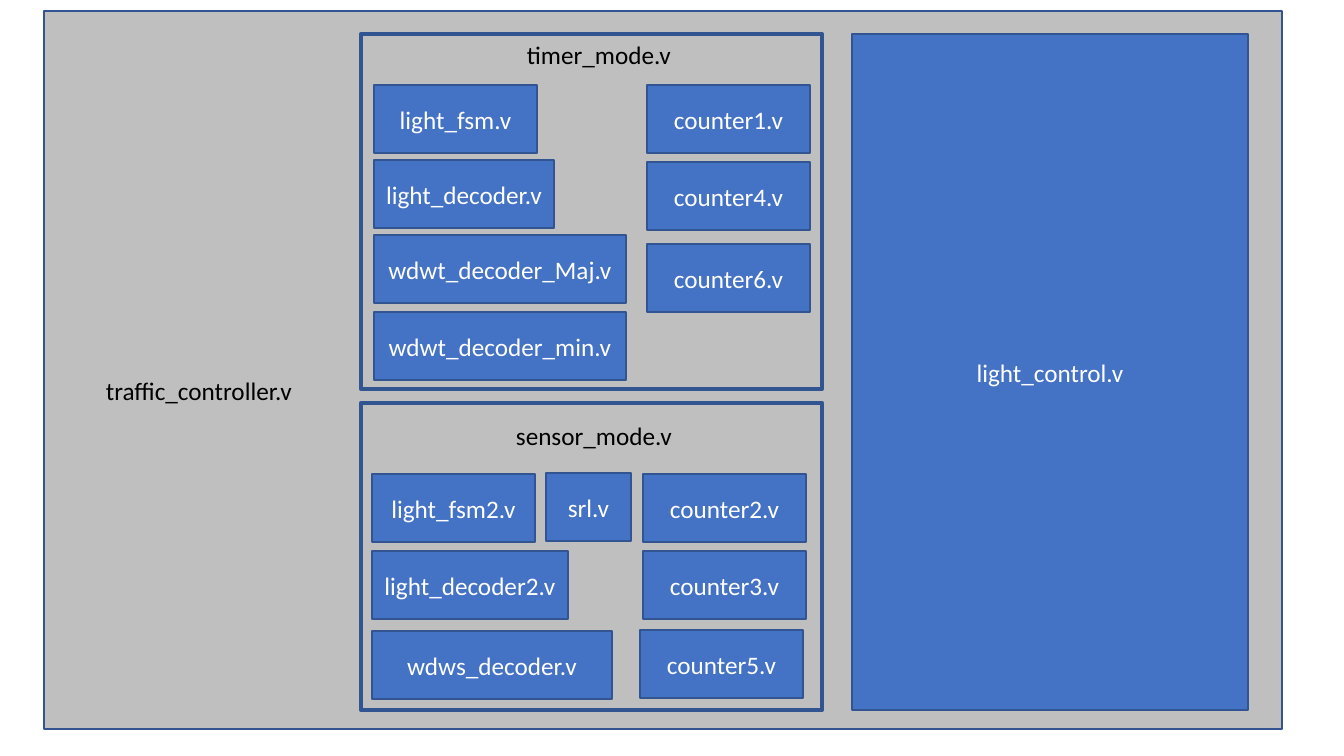
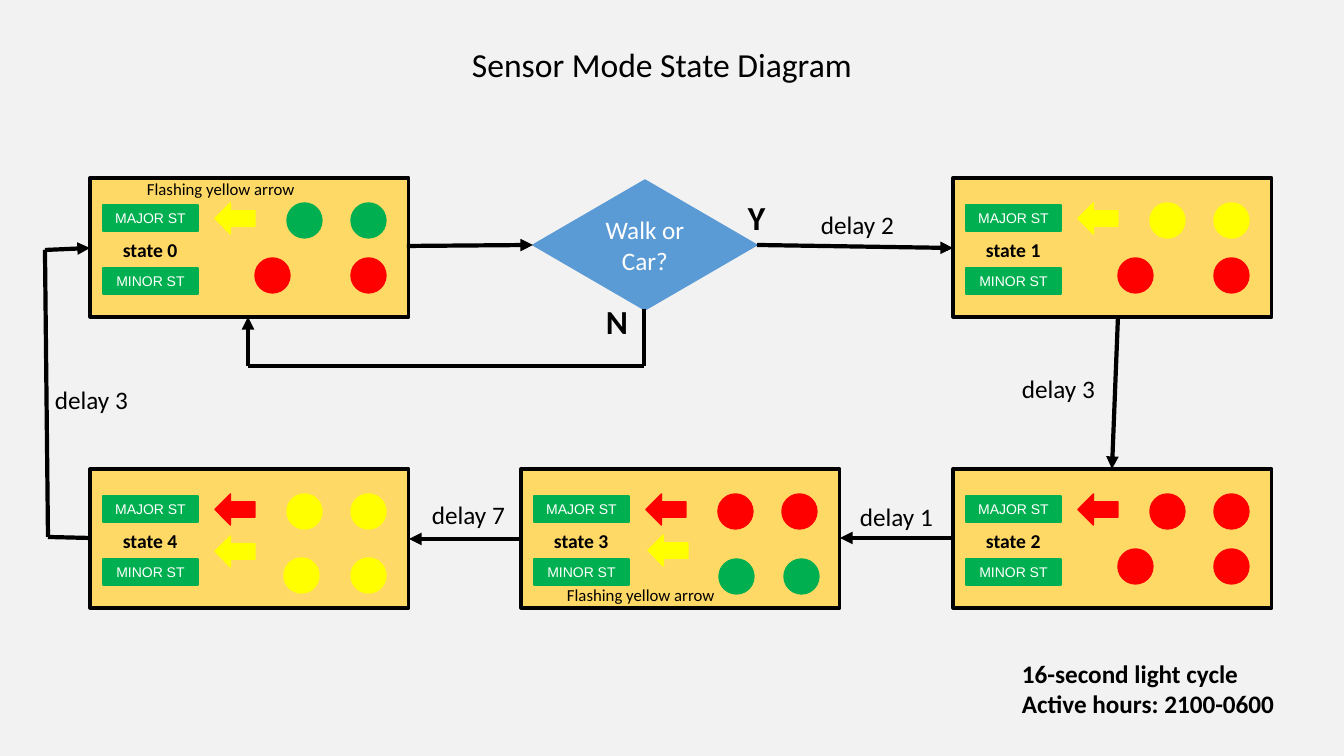
"""Build a Verilog module map and a sensor mode state diagram of a traffic controller."""

from dataclasses import dataclass
from itertools import pairwise
from typing import Optional

from lxml import etree
from pptx import Presentation
from pptx.dml.color import RGBColor
from pptx.enum.shapes import MSO_CONNECTOR, MSO_SHAPE
from pptx.enum.text import MSO_ANCHOR, MSO_AUTO_SIZE, PP_ALIGN
from pptx.oxml.ns import qn
from pptx.shapes.autoshape import Shape
from pptx.slide import Slide
from pptx.text.text import TextFrame
from pptx.util import Emu, Pt

RECTANGLE = MSO_SHAPE.RECTANGLE
OVAL = MSO_SHAPE.OVAL
LEFT_ARROW = MSO_SHAPE.LEFT_ARROW
DIAMOND = MSO_SHAPE.DIAMOND
STRAIGHT = MSO_CONNECTOR.STRAIGHT
CENTER = PP_ALIGN.CENTER
LEFT = PP_ALIGN.LEFT
MIDDLE = MSO_ANCHOR.MIDDLE
TOP = MSO_ANCHOR.TOP
GROW = MSO_AUTO_SIZE.SHAPE_TO_FIT_TEXT

EMU_PER_PIXEL = 914400 / 100.8


@dataclass(frozen=True)
class Theme:
    white: str = "FFFFFF"
    black: str = "000000"
    mist: str = "F2F2F2"
    gray: str = "BFBFBF"
    blue: str = "4472C4"
    navy: str = "325491"
    sky: str = "5B9BD5"
    gold: str = "FFD966"
    green: str = "00B050"
    yellow: str = "FFFF00"
    red: str = "FF0000"
    body_font: str = "Calibri"
    plate_font: str = "Arial"
    title_size: int = 24
    body_size: int = 18
    state_size: int = 14
    note_size: int = 12
    plate_size: int = 10
    thin: float = 1
    card_line: float = 2.25
    thick: float = 3


THEME = Theme()


@dataclass(frozen=True)
class Box:
    left: int
    top: int
    width: int
    height: int


@dataclass(frozen=True)
class TextStyle:
    size: int
    color: str = THEME.black
    font: str = THEME.body_font
    bold: bool = False


@dataclass(frozen=True)
class Label:
    text: str
    box: Box
    style: TextStyle


@dataclass(frozen=True)
class Module:
    name: str
    left: int
    top: int
    width: int = 163


@dataclass(frozen=True)
class Lamp:
    left: int
    top: int
    color: str


@dataclass(frozen=True)
class State:
    name: str
    left: int
    top: int
    lights: tuple[Lamp, ...]
    arrows: tuple[Lamp, ...]


@dataclass(frozen=True)
class Route:
    points: tuple[tuple[int, int], ...]


BODY = TextStyle(THEME.body_size)
BODY_BOLD = TextStyle(THEME.body_size, bold=True)
BODY_WHITE = TextStyle(THEME.body_size, THEME.white)
TITLE = TextStyle(THEME.title_size)
BRANCH = TextStyle(THEME.title_size, bold=True)
STATE_NAME = TextStyle(THEME.state_size, bold=True)
NOTE = TextStyle(THEME.note_size)
PLATE = TextStyle(THEME.plate_size, THEME.white, THEME.plate_font)

MODULE_HEIGHT = 68
LAMP_SIZE = 35
UPPER_ROW, LOWER_ROW = 178, 469
LEFT_CARD, MIDDLE_CARD, RIGHT_CARD = 90, 521, 953

PANELS = (Box(361, 34, 461, 355), Box(361, 403, 461, 307))

MODULES = (
    Module("light_fsm.v", 374, 85),
    Module("light_decoder.v", 374, 160, 180),
    Module("wdwt_decoder_Maj.v", 374, 235, 252),
    Module("wdwt_decoder_min.v", 374, 312, 252),
    Module("counter1.v", 647, 85),
    Module("counter4.v", 647, 162),
    Module("counter6.v", 647, 244),
    Module("light_fsm2.v", 372, 474),
    Module("light_decoder2.v", 372, 551, 196),
    Module("wdws_decoder.v", 372, 631, 240),
    Module("srl.v", 546, 473, 85),
    Module("counter2.v", 643, 474),
    Module("counter3.v", 643, 551),
    Module("counter5.v", 640, 630),
)

MODULE_LABELS = (
    Label("timer_mode.v", Box(517, 34, 166, 40), BODY),
    Label("sensor_mode.v", Box(506, 415, 178, 40), BODY),
    Label("traffic_controller.v", Box(96, 370, 209, 40), BODY),
)


def major_lights(color: str) -> tuple[Lamp, ...]:
    return tuple(Lamp(left, 25, color) for left in (197, 261))


def minor_lights(color: str, lefts: tuple[int, int] = (165, 261), top: int = 80) -> tuple[Lamp, ...]:
    return tuple(Lamp(left, top, color) for left in lefts)


STATES = (
    State("state 0", LEFT_CARD, UPPER_ROW,
          major_lights(THEME.green) + minor_lights(THEME.red),
          (Lamp(125, 25, THEME.yellow),)),
    State("state 1", RIGHT_CARD, UPPER_ROW,
          major_lights(THEME.yellow) + minor_lights(THEME.red),
          (Lamp(125, 25, THEME.yellow),)),
    State("state 2", RIGHT_CARD, LOWER_ROW,
          major_lights(THEME.red) + minor_lights(THEME.red),
          (Lamp(125, 25, THEME.red),)),
    State("state 3", MIDDLE_CARD, LOWER_ROW,
          major_lights(THEME.red) + minor_lights(THEME.green, (198, 263), 90),
          (Lamp(125, 25, THEME.red), Lamp(127, 66, THEME.yellow))),
    State("state 4", LEFT_CARD, LOWER_ROW,
          major_lights(THEME.yellow) + minor_lights(THEME.yellow, (194, 261), 89),
          (Lamp(125, 25, THEME.red), Lamp(125, 67, THEME.yellow))),
)

ROUTES = (
    Route(((407, 246), (533, 245))),
    Route(((757, 245), (953, 248))),
    Route(((1118, 317), (1112, 469))),
    Route(((951, 538), (840, 538))),
    Route(((521, 539), (409, 539))),
    Route(((90, 538), (48, 537), (45, 250), (90, 248))),
    Route(((644, 309), (644, 366), (248, 366), (248, 317))),
)

STATE_LABELS = (
    Label("Sensor Mode State Diagram", Box(462, 39, 403, 50), TITLE),
    Label("delay 2", Box(811, 204, 95, 40), BODY),
    Label("delay 3", Box(1012, 368, 95, 40), BODY),
    Label("delay 1", Box(850, 496, 95, 40), BODY),
    Label("delay 7", Box(422, 494, 95, 40), BODY),
    Label("delay 3", Box(45, 379, 95, 40), BODY),
    Label("Y", Box(738, 192, 38, 50), BRANCH),
    Label("N", Box(596, 296, 42, 50), BRANCH),
    Label("Flashing yellow arrow", Box(137, 174, 169, 30), NOTE),
    Label("Flashing yellow arrow", Box(557, 580, 169, 30), NOTE),
    Label("16-second light cycle\nActive hours: 2100-0600", Box(1012, 653, 275, 72), BODY_BOLD),
)


def px(value: int) -> Emu:
    return Emu(round(value * EMU_PER_PIXEL))


def place(box: Box) -> tuple[Emu, Emu, Emu, Emu]:
    return px(box.left), px(box.top), px(box.width), px(box.height)


def rgb(color: str) -> RGBColor:
    return RGBColor.from_string(color)


def write(frame: TextFrame, text: str, style: TextStyle, align: PP_ALIGN) -> None:
    frame.text = text
    for para in frame.paragraphs:
        para.alignment = align
        para.font.name = style.font
        para.font.size = Pt(style.size)
        para.font.bold = style.bold
        para.font.color.rgb = rgb(style.color)


def draw_shape(page: Slide, kind: MSO_SHAPE, box: Box, fill: Optional[str], line: str,
               weight: float = THEME.thin) -> Shape:
    shape = page.shapes.add_shape(kind, *place(box))
    shape.shadow.inherit = False
    if fill is None:
        shape.fill.background()
    else:
        shape.fill.solid()
        shape.fill.fore_color.rgb = rgb(fill)
    shape.line.color.rgb = rgb(line)
    shape.line.width = Pt(weight)
    return shape


def draw_caption(shape: Shape, text: str, style: TextStyle) -> None:
    shape.text_frame.vertical_anchor = MIDDLE
    write(shape.text_frame, text, style, CENTER)


def draw_label(page: Slide, label: Label) -> None:
    frame = page.shapes.add_textbox(*place(label.box)).text_frame
    frame.word_wrap = False
    frame.auto_size = GROW
    frame.vertical_anchor = TOP
    write(frame, label.text, label.style, LEFT)


def draw_module(page: Slide, name: str, box: Box) -> None:
    draw_caption(draw_shape(page, RECTANGLE, box, THEME.blue, THEME.navy), name, BODY_WHITE)


def draw_route(page: Slide, route: Route) -> None:
    for start, end in pairwise(route.points):
        connector = page.shapes.add_connector(STRAIGHT, *map(px, start + end))
        connector.line.color.rgb = rgb(THEME.black)
        connector.line.width = Pt(THEME.thick)
        properties = connector.line._get_or_add_ln().getparent()
        etree.SubElement(properties, qn("a:effectLst"))
        if end == route.points[-1]:
            etree.SubElement(properties.find(qn("a:ln")), qn("a:tailEnd"), type="triangle")


def draw_state(page: Slide, state: State) -> None:
    def inside(left: int, top: int, width: int, height: int) -> Box:
        return Box(state.left + left, state.top + top, width, height)

    draw_shape(page, RECTANGLE, inside(0, 0, 319, 139), THEME.gold, THEME.black, THEME.card_line)
    for street, top in (("MAJOR ST", 27), ("MINOR ST", 90)):
        plate = draw_shape(page, RECTANGLE, inside(13, top, 95, 26), THEME.green, THEME.green)
        draw_caption(plate, street, PLATE)
    for light in state.lights:
        draw_shape(page, OVAL, inside(light.left, light.top, LAMP_SIZE, LAMP_SIZE), light.color, light.color)
    for arrow in state.arrows:
        draw_shape(page, LEFT_ARROW, inside(arrow.left, arrow.top, 40, 31), arrow.color, arrow.color)
    draw_label(page, Label(state.name, inside(23, 55, 75, 34), STATE_NAME))


def add_page(deck: Presentation, background: str) -> Slide:
    page = deck.slides.add_slide(deck.slide_layouts[6])
    page.background.fill.solid()
    page.background.fill.fore_color.rgb = rgb(background)
    return page


def build_module_map(deck: Presentation) -> None:
    page = add_page(deck, THEME.white)
    draw_shape(page, RECTANGLE, Box(44, 11, 1238, 718), THEME.gray, THEME.navy)
    for panel in PANELS:
        draw_shape(page, RECTANGLE, panel, None, THEME.navy, THEME.thick)
    for module in MODULES:
        draw_module(page, module.name, Box(module.left, module.top, module.width, MODULE_HEIGHT))
    draw_module(page, "light_control.v", Box(852, 34, 396, 676))
    for label in MODULE_LABELS:
        draw_label(page, label)


def build_state_diagram(deck: Presentation) -> None:
    page = add_page(deck, THEME.mist)
    for state in STATES:
        draw_state(page, state)
    decision = draw_shape(page, DIAMOND, Box(533, 180, 224, 130), THEME.sky, THEME.sky)
    draw_caption(decision, "Walk or Car?", BODY_WHITE)
    for route in ROUTES:
        draw_route(page, route)
    for label in STATE_LABELS:
        draw_label(page, label)


def main() -> None:
    deck = Presentation()
    deck.slide_width, deck.slide_height = px(1344), px(756)
    build_module_map(deck)
    build_state_diagram(deck)
    deck.save("out.pptx")


main()
